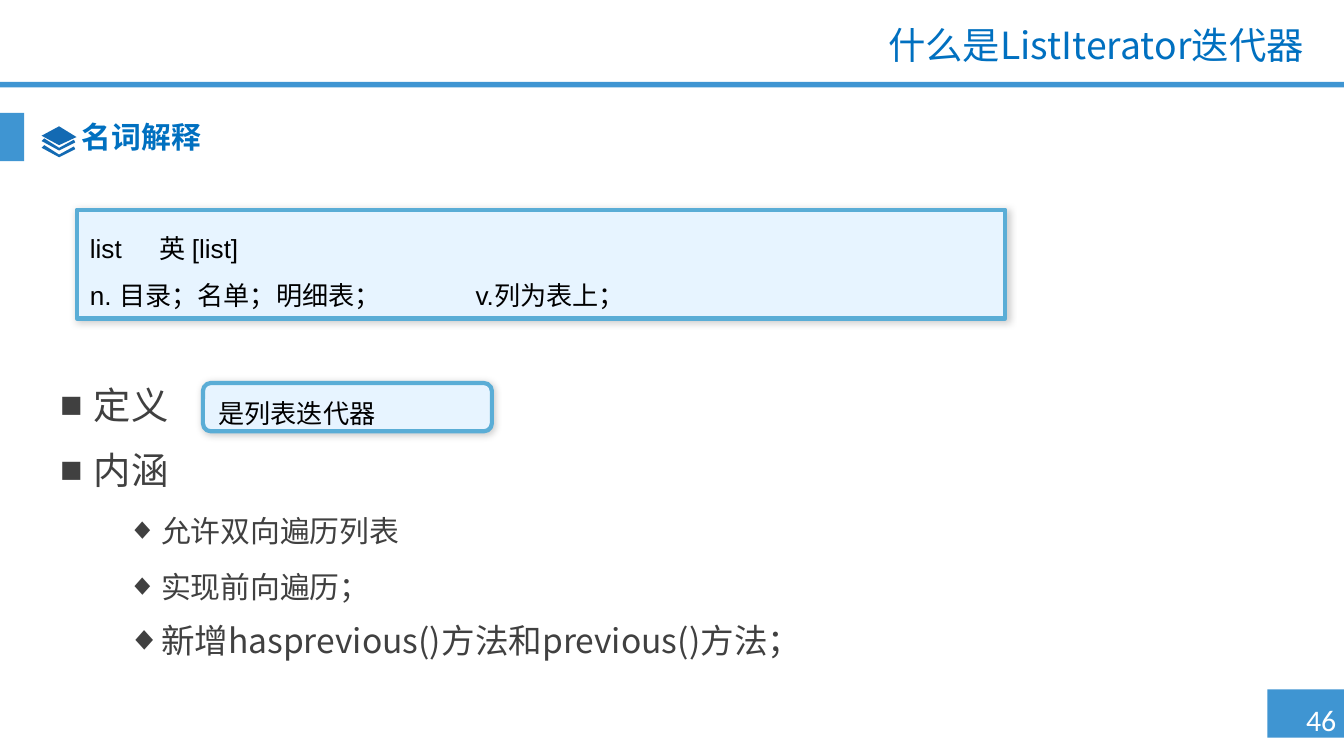
"""Build the slide that explains the ListIterator."""
from lxml import etree
from pptx import Presentation
from pptx import util as u
from pptx.dml.color import RGBColor
from pptx.enum import shapes, text
from pptx.oxml import ns

BAND = RGBColor(0x3F, 0x95, 0xD2)
HEADING = RGBColor(0x00, 0x70, 0xC0)
BODY = RGBColor(0x40, 0x40, 0x40)
ICON = RGBColor(0x13, 0x6A, 0xB3)
NOTE_FILL = RGBColor(0xE7, 0xF4, 0xFF)
NOTE_LINE = RGBColor(0x5A, 0xAD, 0xD6)
BLACK = RGBColor(0, 0, 0)
WHITE = RGBColor(0xFF, 0xFF, 0xFF)
CJK = "Noto Sans CJK SC"


def child(parent, tag, **attributes):
    return etree.SubElement(parent, ns.qn(tag), **attributes)


def write(paragraph, words, size=20, font=CJK, color=BODY, bold=False, spacing=None,
          before=0, align=text.PP_ALIGN.LEFT, bullet=None, indent=0, tabs=()):
    paragraph.alignment = align
    paragraph.line_spacing = spacing
    paragraph.space_before = u.Pt(before)
    properties = paragraph._p.get_or_add_pPr()
    if bullet:
        properties.set("marL", str(u.Inches(indent)))
        properties.set("indent", str(-u.Inches(0.25)))
        child(properties, "a:buFont", typeface="Arial")
        child(properties, "a:buChar", char=bullet)
    if tabs:
        stops = child(properties, "a:tabLst")
        for stop in tabs:
            child(stops, "a:tab", pos=str(u.Inches(stop)), algn="l")
    run = paragraph.add_run()
    run.text = words
    run.font.size = u.Pt(size)
    run.font.name = font
    run.font.bold = bold
    run.font.color.rgb = color
    child(run._r.get_or_add_rPr(), "a:ea", typeface=CJK)


class Page:
    """Holds the current slide and draws its elements in the deck style."""

    def __init__(self, slide):
        self.slide = slide

    def fill(self, shape, color):
        shape.shadow.inherit = False
        shape.fill.solid()
        shape.fill.fore_color.rgb = color
        shape.line.fill.background()

    def band(self, *place):
        bar = self.slide.shapes.add_shape(
            shapes.MSO_SHAPE.RECTANGLE, *map(u.Inches, place))
        self.fill(bar, BAND)

    def label(self, place, lines, anchor=text.MSO_ANCHOR.MIDDLE, inset=0.1):
        box = self.slide.shapes.add_textbox(*map(u.Inches, place))
        box.text_frame.margin_left = box.text_frame.margin_right = u.Inches(inset)
        self.fill_frame(box.text_frame, lines, anchor)

    def fill_frame(self, frame, lines, anchor):
        frame.word_wrap = True
        frame.vertical_anchor = anchor
        for number, (words, style) in enumerate(lines):
            paragraph = frame.add_paragraph() if number else frame.paragraphs[0]
            write(paragraph, words, **style)

    def note(self, place, corner, lines, inset=0.05):
        card = self.slide.shapes.add_shape(
            shapes.MSO_SHAPE.ROUNDED_RECTANGLE, *map(u.Inches, place))
        card.adjustments[0] = corner
        self.fill(card, NOTE_FILL)
        card.line.color.rgb = NOTE_LINE
        card.line.width = u.Pt(2.25)
        effects = card._element.spPr.find(ns.qn("a:effectLst"))
        shadow = child(effects, "a:outerShdw", blurRad=str(u.Pt(4)),
                       dist=str(u.Pt(1)), dir="2700000")
        child(child(shadow, "a:srgbClr", val=str(BLACK)), "a:alpha", val="20000")
        card.text_frame.margin_top = card.text_frame.margin_bottom = u.Inches(inset)
        self.fill_frame(card.text_frame, lines, text.MSO_ANCHOR.MIDDLE)

    def outline(self, points, color):
        start, *rest = [(u.Inches(x), u.Inches(y)) for x, y in points]
        builder = self.slide.shapes.build_freeform(*start)
        builder.add_line_segments(rest)
        self.fill(builder.convert_to_shape(), color)

    def layers_icon(self):
        chevron = [(0.31, 1.05), (0.33, 1.03), (0.44, 1.1),
                   (0.55, 1.04), (0.56, 1.06), (0.44, 1.12)]
        for drop in (0, 0.05):
            self.outline([(x, y + drop) for x, y in chevron], ICON)
        self.outline([(0.31, 1.01), (0.44, 0.94), (0.57, 1.02), (0.44, 1.08)], ICON)


def main():
    deck = Presentation()
    deck.slide_width = u.Inches(10)
    deck.slide_height = deck.slide_width * 9 // 16
    page = Page(deck.slides.add_slide(deck.slide_layouts[6]))

    page.band(9.43, 5.13, 0.57, 0.36)
    page.band(0, 0.61, 10, 0.04)
    page.band(0, 0.84, 0.18, 0.36)
    page.label((9.57, 5.17, 0.52, 0.37), [
        ("46", dict(size=16, font="Calibri", color=WHITE, align=text.PP_ALIGN.CENTER)),
    ], inset=0)
    page.label((2.4, 0.15, 7.4, 0.4), [
        ("什么是ListIterator迭代器",
         dict(color=HEADING, spacing=0.9, align=text.PP_ALIGN.RIGHT)),
    ])
    page.label((0.51, 0.84, 8.19, 0.39), [
        ("名词解释", dict(size=16, color=HEADING, bold=True, spacing=0.9)),
    ])
    page.layers_icon()

    topic = dict(spacing=u.Pt(25), bullet="■", indent=0.25)
    detail = dict(spacing=u.Pt(25), before=5, bullet="◆", indent=0.75)
    page.label((0.35, 2.78, 9.13, 1.97), [
        ("定义", topic),
        ("内涵", dict(topic, before=10)),
        ("允许双向遍历列表", dict(detail, size=16)),
        ("实现前向遍历；", dict(detail, size=16)),
        ("新增hasprevious()方法和previous()方法；", dict(detail, size=18)),
    ], anchor=text.MSO_ANCHOR.TOP)

    entry = dict(size=14, font="Arial", color=BLACK, spacing=1.5)
    page.note((1.51, 2.85, 2.15, 0.36), 0.167,
              [("是列表迭代器", dict(entry, spacing=1.4))], inset=0)
    page.note((0.57, 1.56, 6.91, 0.81), 0, [
        ("list\t英 [list]", dict(entry, tabs=[0.52])),
        ("n. 目录；名单；明细表；\tv.列为表上；", dict(entry, tabs=[2.87])),
    ])
    deck.save("out.pptx")


if __name__ == "__main__":
    main()
